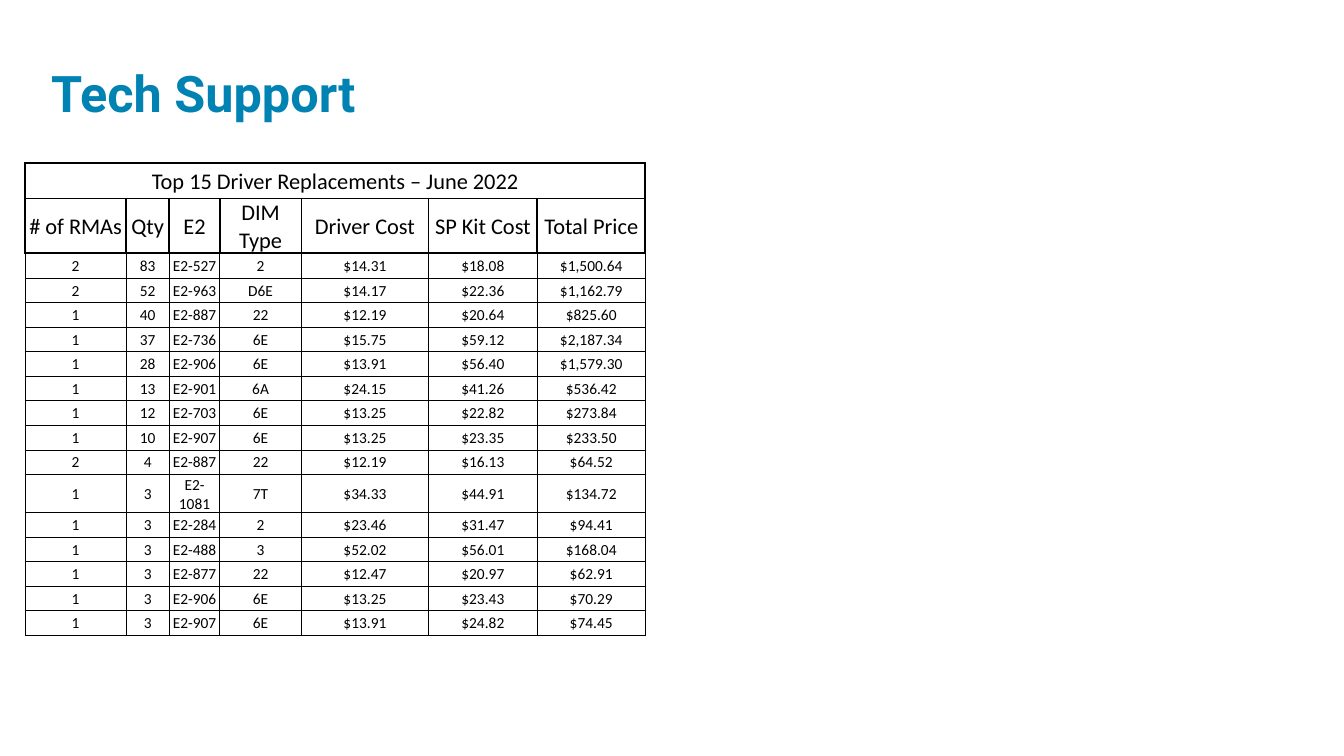
from lxml.etree import SubElement
from pptx import Presentation
from pptx.dml.color import RGBColor
from pptx.enum.text import MSO_ANCHOR, PP_ALIGN
from pptx.oxml.ns import qn
from pptx.util import Inches, Pt

COLORS = {"title": "0083B3", "text": "000000", "border": "000000"}
THICK, THIN = 1.5, 0.5

COLUMN_WIDTHS = [1, 0.43, 0.5, 0.81, 1.26, 1.08, 1.07]
CAPTION_HEIGHT, HEADER_HEIGHT, BODY_HEIGHT = 0.35, 0.33, 3.66
CAPTION = "Top 15 Driver Replacements – June 2022"
HEADERS = ["# of RMAs", "Qty", "E2", "DIM Type", "Driver Cost", "SP Kit Cost", "Total Price"]
REPLACEMENTS = [
    ["2", "83", "E2-527", "2", "$14.31", "$18.08", "$1,500.64"],
    ["2", "52", "E2-963", "D6E", "$14.17", "$22.36", "$1,162.79"],
    ["1", "40", "E2-887", "22", "$12.19", "$20.64", "$825.60"],
    ["1", "37", "E2-736", "6E", "$15.75", "$59.12", "$2,187.34"],
    ["1", "28", "E2-906", "6E", "$13.91", "$56.40", "$1,579.30"],
    ["1", "13", "E2-901", "6A", "$24.15", "$41.26", "$536.42"],
    ["1", "12", "E2-703", "6E", "$13.25", "$22.82", "$273.84"],
    ["1", "10", "E2-907", "6E", "$13.25", "$23.35", "$233.50"],
    ["2", "4", "E2-887", "22", "$12.19", "$16.13", "$64.52"],
    ["1", "3", "E2-1081", "7T", "$34.33", "$44.91", "$134.72"],
    ["1", "3", "E2-284", "2", "$23.46", "$31.47", "$94.41"],
    ["1", "3", "E2-488", "3", "$52.02", "$56.01", "$168.04"],
    ["1", "3", "E2-877", "22", "$12.47", "$20.97", "$62.91"],
    ["1", "3", "E2-906", "6E", "$13.25", "$23.43", "$70.29"],
    ["1", "3", "E2-907", "6E", "$13.91", "$24.82", "$74.45"],
]


def write_text(frame, text, *, size, font="Calibri", color="text", bold=False,
               align=PP_ALIGN.CENTER, line_spacing=None):
    para = frame.paragraphs[0]
    para.alignment = align
    para.line_spacing = line_spacing
    span = para.add_run()
    span.text = text
    span.font.name = font
    span.font.size = Pt(size)
    span.font.bold = bold
    span.font.color.rgb = RGBColor.from_string(COLORS[color])


def set_borders(cell, width, top_width):
    properties = cell._tc.get_or_add_tcPr()
    for side in ("L", "R", "T", "B"):
        points = top_width if side == "T" else width
        line = SubElement(properties, qn(f"a:ln{side}"), w=str(Pt(points)))
        fill = SubElement(line, qn("a:solidFill"))
        SubElement(fill, qn("a:srgbClr"), val=COLORS["border"])


def fill_cell(cell, text, *, size, width, top_width):
    cell.margin_left = cell.margin_right = cell.margin_top = Inches(0.01)
    cell.margin_bottom = 0
    cell.vertical_anchor = MSO_ANCHOR.MIDDLE
    set_borders(cell, width, top_width)
    cell.fill.background()
    if text:
        write_text(cell.text_frame, text, size=size)


def add_title(page, left, top, width, height):
    box = page.shapes.add_textbox(Inches(left), Inches(top), Inches(width), Inches(height))
    frame = box.text_frame
    frame.word_wrap = True
    frame.vertical_anchor = MSO_ANCHOR.BOTTOM
    write_text(frame, "Tech Support", size=36, font="Roboto", color="title", bold=True,
               align=PP_ALIGN.LEFT, line_spacing=0.8)


def add_replacement_table(page, left, top):
    caption_row = [CAPTION] + [""] * (len(HEADERS) - 1)
    rows = [caption_row, HEADERS] + REPLACEMENTS
    heights = [CAPTION_HEIGHT, HEADER_HEIGHT]
    heights += [BODY_HEIGHT / len(REPLACEMENTS)] * len(REPLACEMENTS)
    table = page.shapes.add_table(len(rows), len(HEADERS), Inches(left), Inches(top),
                                  Inches(sum(COLUMN_WIDTHS)), Inches(sum(heights))).table
    table.first_row = table.horz_banding = False
    for column, width in zip(table.columns, COLUMN_WIDTHS):
        column.width = Inches(width)
    table.cell(0, 0).merge(table.cell(0, len(HEADERS) - 1))

    # Caption and headers are large with thick borders; the first body row meets them
    for index, (row, height, values) in enumerate(zip(table.rows, heights, rows)):
        row.height = Inches(height)
        for cell, text in zip(row.cells, values):
            fill_cell(cell, text, size=16 if index < 2 else 11,
                      width=THICK if index < 2 else THIN,
                      top_width=THICK if index < 3 else THIN)


def main():
    deck = Presentation()
    deck.slide_width, deck.slide_height = Inches(13.33), Inches(7.5)
    page = deck.slides.add_slide(deck.slide_layouts[6])
    add_title(page, 0.41, 0.17, 9.5, 1.09)
    add_replacement_table(page, 0.25, 1.62)
    deck.save("out.pptx")


if __name__ == "__main__":
    main()
